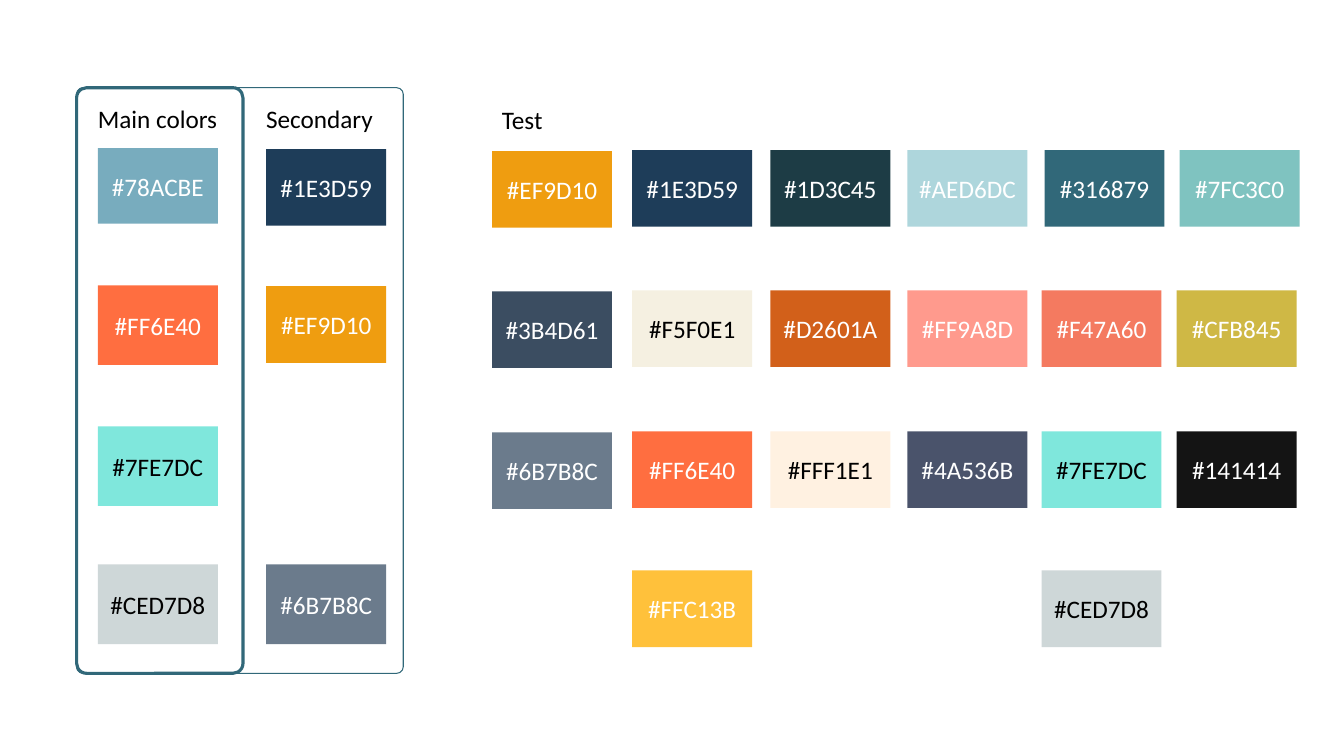
from pptx import Presentation
from pptx.dml.color import RGBColor
from pptx.enum.shapes import MSO_SHAPE
from pptx.enum.text import MSO_ANCHOR, MSO_AUTO_SIZE, PP_ALIGN
from pptx.util import Emu, Pt

EMU_PER_PX = 9144  # 100 px to the inch
FONT = "Calibri"
TEXT_SIZE = Pt(18)
SWATCH_WIDTH, SWATCH_HEIGHT = 119, 76

WHITE = RGBColor(0xFF, 0xFF, 0xFF)
BLACK = RGBColor(0x00, 0x00, 0x00)
SKY = RGBColor(0x78, 0xAC, 0xBE)
ORANGE = RGBColor(0xFF, 0x6E, 0x40)
AQUA = RGBColor(0x7F, 0xE7, 0xDC)
SILVER = RGBColor(0xCE, 0xD7, 0xD8)
NAVY = RGBColor(0x1E, 0x3D, 0x59)
AMBER = RGBColor(0xEF, 0x9D, 0x10)
SLATE = RGBColor(0x6B, 0x7B, 0x8C)
PINE = RGBColor(0x1D, 0x3C, 0x45)
ICE = RGBColor(0xAE, 0xD6, 0xDC)
TEAL = RGBColor(0x31, 0x68, 0x79)
MINT = RGBColor(0x7F, 0xC3, 0xC0)
DENIM = RGBColor(0x3B, 0x4D, 0x61)
IVORY = RGBColor(0xF5, 0xF0, 0xE1)
RUST = RGBColor(0xD2, 0x60, 0x1A)
PINK = RGBColor(0xFF, 0x9A, 0x8D)
CORAL = RGBColor(0xF4, 0x7A, 0x60)
OLIVE = RGBColor(0xCF, 0xB8, 0x45)
CREAM = RGBColor(0xFF, 0xF1, 0xE1)
INDIGO = RGBColor(0x4A, 0x53, 0x6B)
COAL = RGBColor(0x14, 0x14, 0x14)
YELLOW = RGBColor(0xFF, 0xC1, 0x3B)

# Swatches that carry black text
PALE_COLORS = {IVORY, CREAM, AQUA, SILVER}

# Chosen palette: color, top, height
MAIN_LEFT, SECONDARY_LEFT = 97, 264
MAIN_COLORS = [(SKY, 147, 75), (ORANGE, 283, 79), (AQUA, 423, 79), (SILVER, 560, 79)]
SECONDARY_COLORS = [(NAVY, 148, 76), (AMBER, 284, 76), (SLATE, 560, 79)]

# Test palette, row by row
TEST_LEFTS = [488, 627, 764, 900, 1036, 1170]
TEST_TOPS = [149, 288, 428, 566]
TEST_COLORS = [
    [AMBER, NAVY, PINE, ICE, TEAL, MINT],
    [DENIM, IVORY, RUST, PINK, CORAL, OLIVE],
    [SLATE, ORANGE, CREAM, INDIGO, AQUA, COAL],
    [None, YELLOW, None, None, SILVER, None],
]


def px(length):
    return Emu(length * EMU_PER_PX)


def add_run(paragraph, text, color):
    run = paragraph.add_run()
    run.text = text
    run.font.name = FONT
    run.font.size = TEXT_SIZE
    run.font.color.rgb = color


def add_swatch(slide, color, left, top, height=SWATCH_HEIGHT):
    shape = slide.shapes.add_shape(
        MSO_SHAPE.RECTANGLE, px(left), px(top), px(SWATCH_WIDTH), px(height))
    shape.shadow.inherit = False
    shape.fill.solid()
    shape.fill.fore_color.rgb = color
    shape.line.fill.background()
    shape.text_frame.vertical_anchor = MSO_ANCHOR.MIDDLE
    paragraph = shape.text_frame.paragraphs[0]
    paragraph.alignment = PP_ALIGN.CENTER
    add_run(paragraph, f"#{color}", BLACK if color in PALE_COLORS else WHITE)


def add_heading(slide, text, left, top, width, inset):
    box = slide.shapes.add_textbox(px(left), px(top), px(width), px(40))
    frame = box.text_frame
    frame.word_wrap = True
    frame.auto_size = MSO_AUTO_SIZE.SHAPE_TO_FIT_TEXT
    frame.margin_left = px(inset)
    add_run(frame.paragraphs[0], text, BLACK)


def add_frame(slide, width, line_width, corner):
    shape = slide.shapes.add_shape(
        MSO_SHAPE.ROUNDED_RECTANGLE, px(76), px(87), px(width), px(581))
    shape.shadow.inherit = False
    shape.adjustments[0] = corner
    shape.fill.background()
    shape.line.color.rgb = TEAL
    shape.line.width = Pt(line_width)


def add_test_grid(slide):
    for row, (top, colors) in enumerate(zip(TEST_TOPS, TEST_COLORS)):
        for column, (left, color) in enumerate(zip(TEST_LEFTS, colors)):
            if color is None:
                continue
            # The first column sits lower; the last two step left below row one
            drop = 1 if column == 0 else 0
            shift = 3 if row > 0 and column >= 4 else 0
            add_swatch(slide, color, left - shift, top + drop)


def main():
    presentation = Presentation()
    presentation.slide_width = px(1333)
    presentation.slide_height = px(750)
    slide = presentation.slides.add_slide(presentation.slide_layouts[6])

    # Test colors
    add_heading(slide, "Test", 488, 99, 103, 10)
    add_test_grid(slide)

    # Main and secondary colors
    for heading, left, width, colors in (
        ("Main colors", MAIN_LEFT, 145, MAIN_COLORS),
        ("Secondary", SECONDARY_LEFT, 136, SECONDARY_COLORS),
    ):
        add_heading(slide, heading, left, 98, width, 0)
        for color, top, height in colors:
            add_swatch(slide, color, left, top, height)

    # Frames around the chosen palette
    add_frame(slide, 165, 2.25, 0.06)
    add_frame(slide, 324, 0.75, 0.02)

    presentation.save("out.pptx")


if __name__ == "__main__":
    main()
